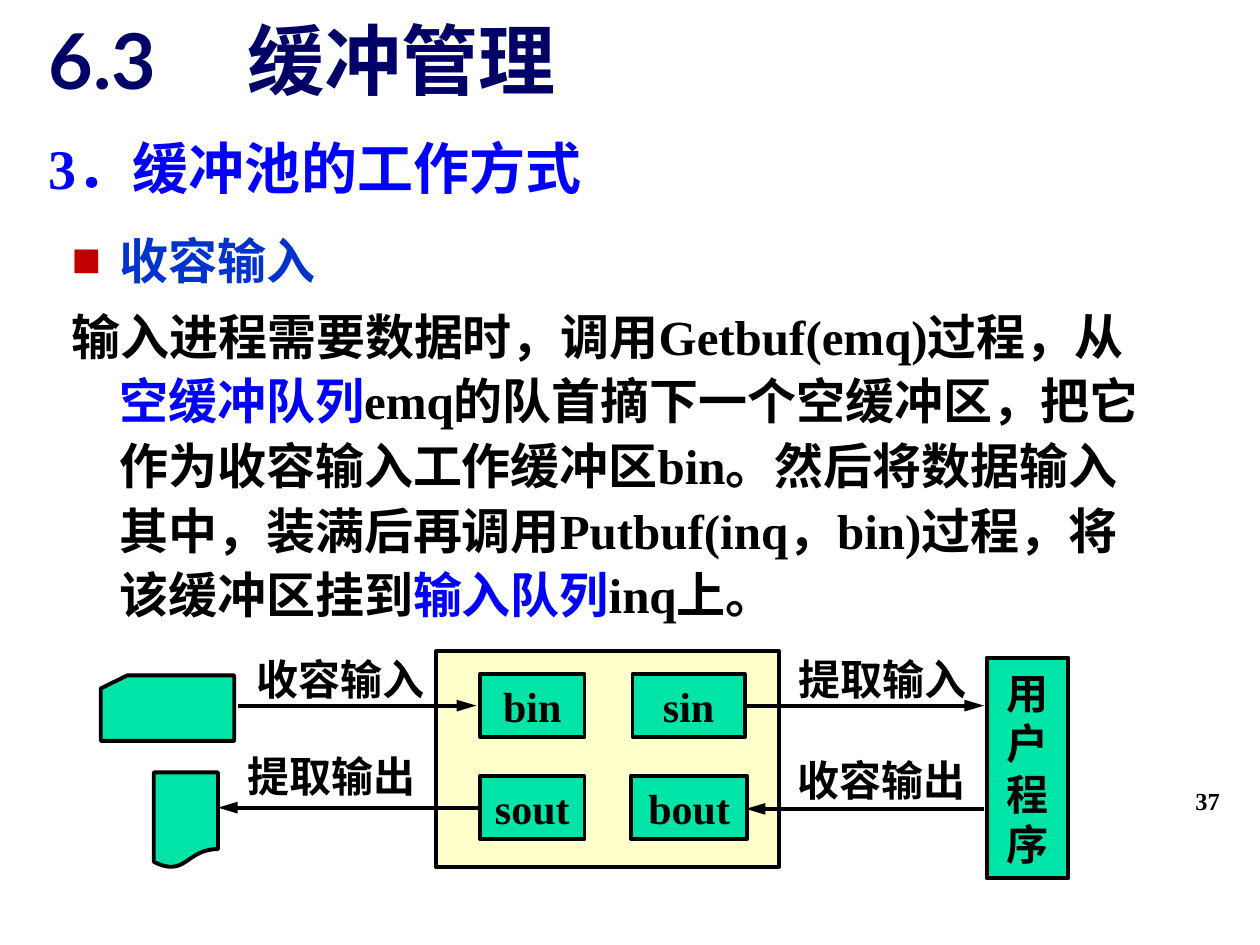
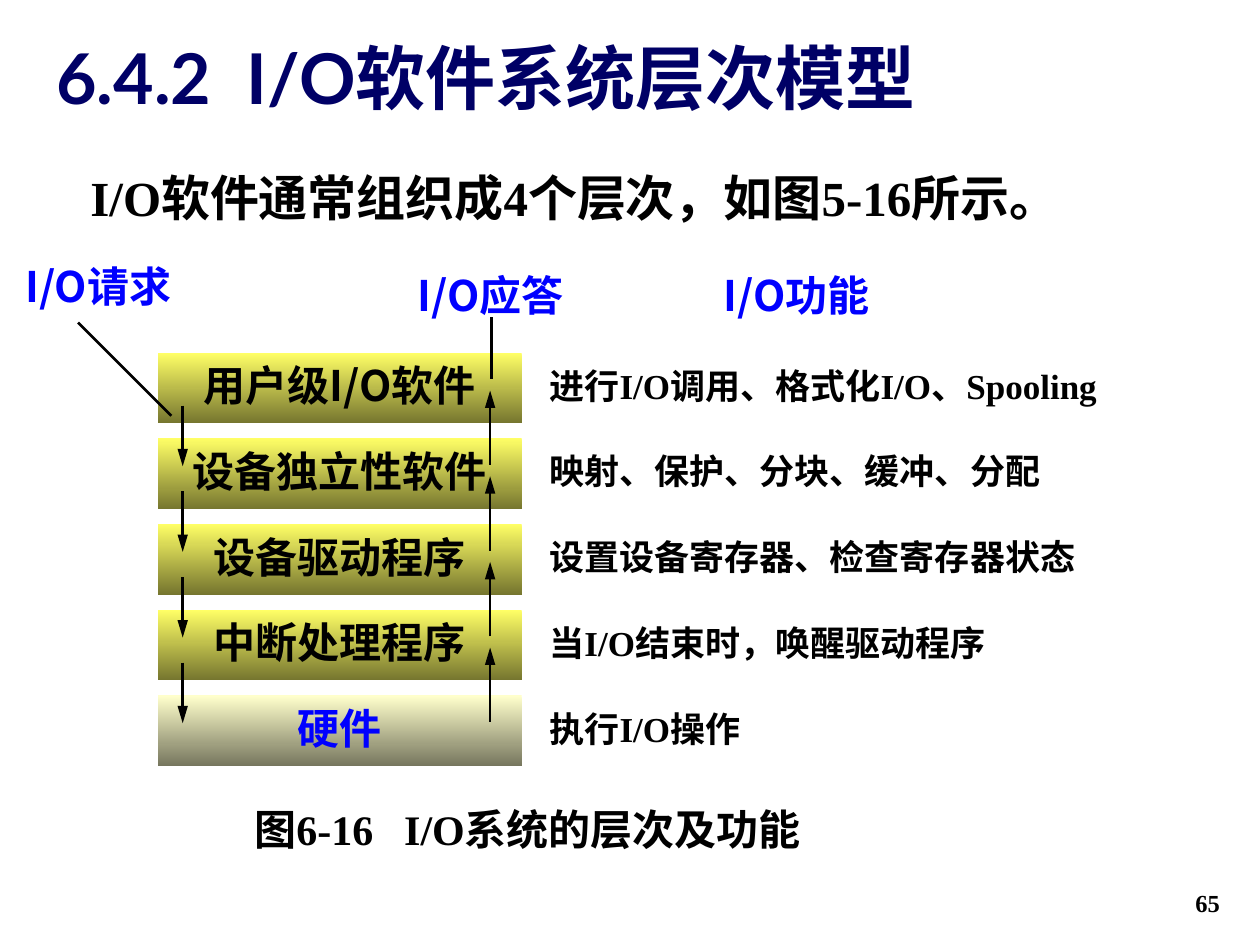
from lxml import etree
from pptx import Presentation
from pptx.dml.color import RGBColor
from pptx.enum.shapes import MSO_CONNECTOR, MSO_SHAPE
from pptx.enum.text import MSO_ANCHOR, PP_ALIGN
from pptx.oxml.ns import qn
from pptx.util import Inches, Pt

LEFT, MID, RIGHT = PP_ALIGN.LEFT, PP_ALIGN.CENTER, PP_ALIGN.RIGHT
TOP, CENTRE, BASE = MSO_ANCHOR.TOP, MSO_ANCHOR.MIDDLE, MSO_ANCHOR.BOTTOM
RECT = MSO_SHAPE.RECTANGLE
CARD = MSO_SHAPE.FLOWCHART_CARD
SHEET = MSO_SHAPE.FLOWCHART_DOCUMENT
STRAIGHT = MSO_CONNECTOR.STRAIGHT

BLACK = RGBColor(0, 0, 0)
NAVY = RGBColor(0, 0, 0x66)
BLUE = RGBColor(0, 0, 0xFF)
AZURE = RGBColor(0, 0x33, 0xCC)
GREEN = RGBColor(0, 0xE4, 0xA8)
CREAM = RGBColor(0xFF, 0xFF, 0xCC)
GOLD = RGBColor(0xFF, 0xFF, 0x66)
OLIVE = RGBColor(0x76, 0x76, 0x2F)
STONE = RGBColor(0x76, 0x76, 0x5E)
RED = "C00000"

LATO, NOTO, TIMES = "Lato", "Noto Sans CJK SC", "Times New Roman"
PAD = (0.1, 0.05, 0.1, 0.05)
FLAT = (0, 0.05, 0, 0.05)

POOL = {
    "title": "6.3\t缓冲管理",
    "head": "3．缓冲池的工作方式",
    "point": "收容输入",
    "body": [
        ("输入进程需要数据时，调用Getbuf(emq)过程，从", BLACK),
        ("空缓冲队列", BLUE),
        ("emq的队首摘下一个空缓冲区，把它作为收容输入工作缓冲区bin。"
         "然后将数据输入其中，装满后再调用Putbuf(inq，bin)过程，将该缓冲区挂到", BLACK),
        ("输入队列", BLUE),
        ("inq上。", BLACK),
    ],
    "parts": [
        (CARD, (0.8, 5.36, 1.06, 0.52), GREEN, "", TIMES),
        (SHEET, (1.22, 6.13, 0.51, 0.76), GREEN, "", TIMES),
        (RECT, (3.46, 5.17, 2.72, 1.71), CREAM, "", TIMES),
        (RECT, (3.81, 5.35, 0.83, 0.5), GREEN, "bin", TIMES),
        (RECT, (5.02, 5.35, 0.89, 0.5), GREEN, "sin", TIMES),
        (RECT, (3.81, 6.16, 0.83, 0.5), GREEN, "sout", TIMES),
        (RECT, (5.01, 6.16, 0.92, 0.5), GREEN, "bout", TIMES),
        (RECT, (7.83, 5.22, 0.65, 1.75), GREEN, "用户程序", LATO),
    ],
    "flows": [
        ("收容输入", (1.92, 5.14), (1.89, 5.6, 3.78, 5.6)),
        ("提取输出", (1.85, 5.91), (3.79, 6.41, 1.73, 6.41)),
        ("提取输入", (6.22, 5.14), (5.92, 5.6, 7.81, 5.6)),
        ("收容输出", (6.21, 5.94), (7.81, 6.42, 5.92, 6.42)),
    ],
}

MODEL = {
    "title": "6.4.2\tI/O软件系统层次模型",
    "lead": "I/O软件通常组织成4个层次，如图5-16所示。",
    "heads": [
        ("I/O请求", 0.2, 2.02, LEFT),
        ("I/O应答", 3.13, 2.09, MID),
        ("I/O功能", 5.56, 2.09, MID),
    ],
    "layers": [
        ("用户级I/O软件", "进行I/O调用、格式化I/O、Spooling"),
        ("设备独立性软件", "映射、保护、分块、缓冲、分配"),
        ("设备驱动程序", "设置设备寄存器、检查寄存器状态"),
        ("中断处理程序", "当I/O结束时，唤醒驱动程序"),
        ("硬件", "执行I/O操作"),
    ],
    "caption": "图6-16\tI/O系统的层次及功能",
}


def add_node(owner, tag, **attrs):
    return etree.SubElement(owner, qn(tag), attrs)


def write(para, runs, size, font):
    for text, color in runs:
        run = para.add_run()
        run.text = text
        look = {"size": Pt(size), "name": font, "bold": True}
        for key, value in look.items():
            setattr(run.font, key, value)
        run.font.color.rgb = color
        add_node(run._r.get_or_add_rPr(), "a:ea", typeface=LATO)


def set_tab(para, stop):
    tabs = add_node(para._p.get_or_add_pPr(), "a:tabLst")
    add_node(tabs, "a:tab", pos=str(Inches(stop)), algn="l")


def frame(shape, pad, anchor):
    area = shape.text_frame
    sides = ("margin_left", "margin_top", "margin_right", "margin_bottom")
    look = dict(zip(sides, map(Inches, pad)), word_wrap=True, vertical_anchor=anchor)
    for key, value in look.items():
        setattr(area, key, value)
    return area


def label(shape, text, size=24, font=TIMES, color=BLACK, align=MID,
          anchor=CENTRE, pad=PAD, tab=None):
    para = frame(shape, pad, anchor).paragraphs[0]
    para.alignment = align
    if tab:
        set_tab(para, tab)
    write(para, [(text, color)], size, font)


def add_box(slide, spot):
    return slide.shapes.add_textbox(*map(Inches, spot))


def add_part(slide, kind, spot):
    shape = slide.shapes.add_shape(kind, *map(Inches, spot))
    shape.shadow.inherit = False
    return shape


def add_line(slide, ends, width, arrow=True):
    line = slide.shapes.add_connector(STRAIGHT, *map(Inches, ends))
    line.line.color.rgb = BLACK
    line.line.width = Pt(width)
    props = line._element.spPr
    if arrow:
        add_node(props.get_or_add_ln(), "a:tailEnd", type="triangle", w="med", len="lg")
    add_node(props, "a:effectLst")


def start(deck, title, spot, size, tab, number, low):
    slide = deck.slides.add_slide(deck.slide_layouts[6])
    label(add_box(slide, (*spot, 9.43, 0.76)), title, size, LATO, NAVY, LEFT, BASE, tab=tab)
    label(add_box(slide, (7.7, low, 2.08, 0.5)), number, 14, align=RIGHT, anchor=BASE)
    return slide


def draw_pool(deck):
    slide = start(deck, POOL["title"], (0.29, 0.12), 44, 1.58, "37", 6.02)
    label(add_box(slide, (0.29, 0.88, 9.43, 0.76)), POOL["head"], 32,
          color=BLUE, align=LEFT, anchor=BASE)

    area = frame(add_box(slide, (0.47, 1.78, 8.7, 3.22)), PAD, CENTRE)
    point, body = area.paragraphs[0], area.add_paragraph()
    for para in (point, body):
        props = para._p.get_or_add_pPr()
        props.set("marL", str(Inches(0.38)))
        props.set("indent", str(-Inches(0.38)))
    point.space_after = Pt(6.2)
    props = point._p.get_or_add_pPr()
    add_node(add_node(props, "a:buClr"), "a:srgbClr", val=RED)
    add_node(props, "a:buFont", typeface=TIMES)
    add_node(props, "a:buChar", char="■")
    body.line_spacing = 1.1
    write(point, [(POOL["point"], AZURE)], 28, NOTO)
    write(body, POOL["body"], 28, TIMES)

    for kind, spot, color, text, font in POOL["parts"]:
        part = add_part(slide, kind, spot)
        part.fill.solid()
        part.fill.fore_color.rgb = color
        part.line.color.rgb = BLACK
        part.line.width = Pt(2.25)
        if text:
            label(part, text, font=font)
    for text, spot, ends in POOL["flows"]:
        label(add_box(slide, (*spot, 1.57, 0.5)), text, font=LATO)
        add_line(slide, ends, 2.25)


def draw_model(deck):
    slide = start(deck, MODEL["title"], (0.35, 0.23), 40, 1.51, "65", 6.83)
    label(add_box(slide, (0.62, 1.28, 8.93, 0.57)), MODEL["lead"], 28, align=LEFT)
    layers = MODEL["layers"]
    step, last = 0.68, len(layers) - 1

    for i, (name, task) in enumerate(layers):
        bar = add_part(slide, RECT, (1.25, 2.8 + i * step, 2.89, 0.56))
        bar.line.fill.background()
        bar.fill.gradient()
        bar.fill.gradient_angle = 270
        shades = (CREAM, STONE) if i == last else (GOLD, OLIVE)
        for stop, (place, color) in zip(bar.fill.gradient_stops, enumerate(shades)):
            stop.position = place
            stop.color.rgb = color
        label(bar, name, font=NOTO, color=BLUE if i == last else BLACK,
              pad=(0.06, 0, 0.06, 0.05))

    for i in range(last):
        y = 3.22 + i * step
        add_line(slide, (1.45, y, 1.45, y + 0.48), 1.5)
        add_line(slide, (3.89, y + 0.47, 3.89, y - 0.12), 1.5)
    add_line(slide, (0.62, 2.56, 1.36, 3.3), 1.5, False)
    add_line(slide, (3.9, 2.52, 3.9, 3.01), 1.5, False)

    for text, x, y, align in MODEL["heads"]:
        label(add_box(slide, (x, y, 1.53, 0.5)), text, font=NOTO, color=BLUE,
              align=align, pad=FLAT)

    area = frame(add_box(slide, (4.34, 2.88, 4.88, 3.08)), (0.02, 0.01, 0.02, 0.01), TOP)
    for i, (name, task) in enumerate(layers):
        para = area.add_paragraph() if i else area.paragraphs[0]
        if i:
            para.space_before = Pt(25)
        write(para, [(task, BLACK)], 20, TIMES)

    label(add_box(slide, (1.92, 6.33, 5.86, 0.5)), MODEL["caption"], align=LEFT, tab=1.19)


def main():
    deck = Presentation()
    deck.slide_width, deck.slide_height = Inches(10), Inches(7.5)
    draw_pool(deck)
    draw_model(deck)
    deck.save("out.pptx")


if __name__ == "__main__":
    main()
